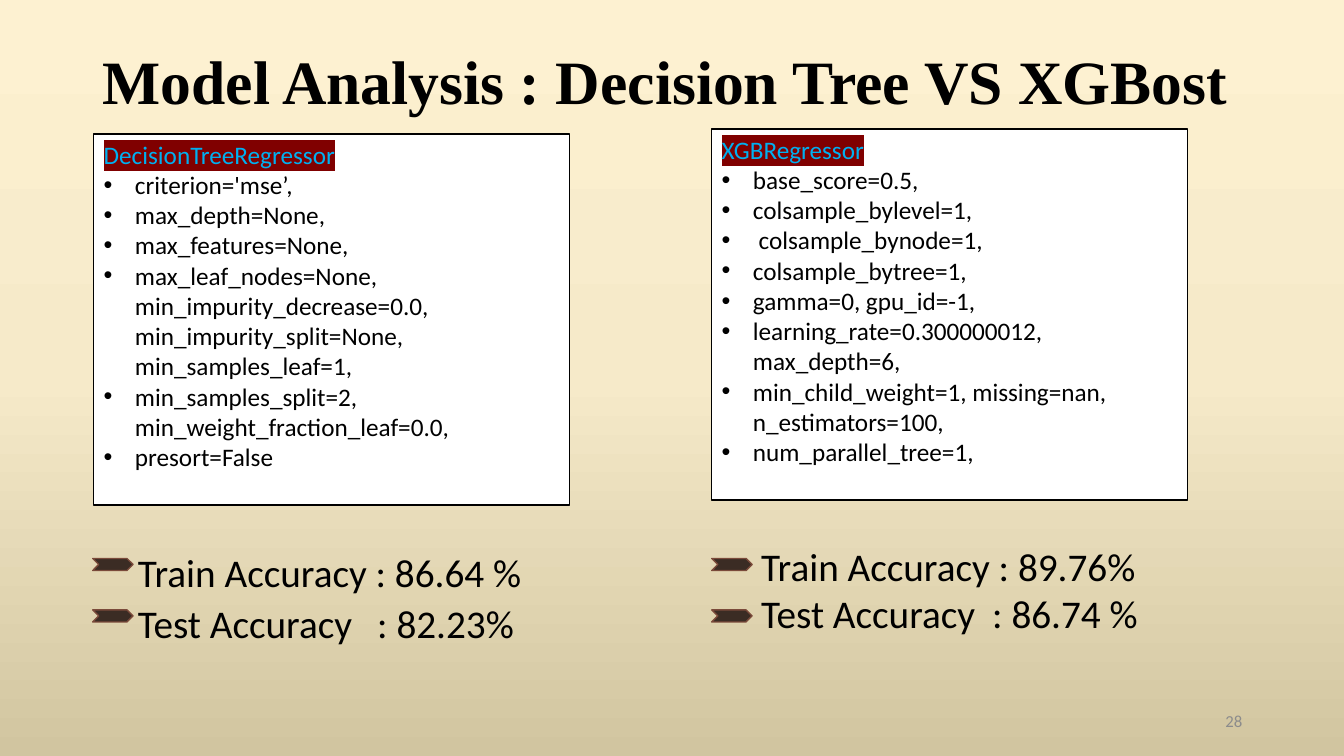
from copy import deepcopy

from lxml.etree import SubElement
from pptx import Presentation
from pptx.dml.color import RGBColor
from pptx.enum.shapes import MSO_SHAPE as Shape
from pptx.enum.text import MSO_ANCHOR as Anchor, PP_ALIGN as Align
from pptx.oxml.ns import qn
from pptx.util import Emu, Inches, Pt

BLACK = RGBColor(0x00, 0x00, 0x00)
WHITE = RGBColor(0xFF, 0xFF, 0xFF)
GREY = RGBColor(0x8C, 0x8C, 0x8C)
BLUE = RGBColor(0x00, 0xB0, 0xF0)
MAROON = RGBColor(0x80, 0x00, 0x00)
BROWN = RGBColor(0x3B, 0x2C, 0x24)
RUST = RGBColor(0x7A, 0x4A, 0x3A)
SANDS = (RGBColor(0xFD, 0xF1, 0xD1), RGBColor(0xF6, 0xEA, 0xC9),
         RGBColor(0xD1, 0xC5, 0xA0))
WIDE, HIGH = Inches(13.33), Inches(7.5)

TREE = ("criterion='mse’,", "max_depth=None,", "max_features=None,",
        "max_leaf_nodes=None, min_impurity_decrease=0.0, "
        "min_impurity_split=None, min_samples_leaf=1,",
        "min_samples_split=2, min_weight_fraction_leaf=0.0,",
        "presort=False")
BOOST = ("base_score=0.5,", "colsample_bylevel=1,", " colsample_bynode=1,",
         "colsample_bytree=1,", "gamma=0, gpu_id=-1,",
         "learning_rate=0.300000012, max_depth=6,",
         "min_child_weight=1, missing=nan, n_estimators=100,",
         "num_parallel_tree=1,")


def area(x, y, w, h):
    """Turn percentages of the slide into a left, top, width, height tuple."""
    return tuple(Emu(round(part * side / 100))
                 for part, side in zip((x, y, w, h), (WIDE, HIGH) * 2))


def paint(slide):
    """Fill the background with an even vertical gradient."""
    fill = slide.background.fill
    fill.gradient()
    fill.gradient_angle = 270
    stops = next(slide.element.iter(qn("a:gsLst")))
    stops.append(deepcopy(stops[-1]))
    for i, (stop, tone) in enumerate(zip(fill.gradient_stops, SANDS)):
        stop.position = i / 2
        stop.color.rgb = tone


def write(par, text, size, tone=BLACK, face="Calibri", bold=False):
    """Add one styled run to a paragraph and return it."""
    run = par.add_run()
    run.text = text
    font = run.font
    font.size, font.name, font.bold = Pt(size), face, bold
    font.color.rgb = tone
    return run


def mark(run, tone):
    """Put a highlight behind a run."""
    light = SubElement(run.font._element, qn("a:highlight"))
    SubElement(light, qn("a:srgbClr")).set("val", str(tone))
    run.font._element.find(qn("a:solidFill")).addnext(light)


def bullet(par):
    """Give a paragraph a hanging bullet."""
    props = par._p.get_or_add_pPr()
    indent = Inches(0.31)
    props.set("marL", str(indent))
    props.set("indent", str(-indent))
    SubElement(props, qn("a:buFont")).set("typeface", "Arial")
    SubElement(props, qn("a:buChar")).set("char", "•")


def tab(par, stop):
    """Set a tab stop, in percent of the slide's width."""
    stops = SubElement(par._p.get_or_add_pPr(), qn("a:tabLst"))
    item = SubElement(stops, qn("a:tab"))
    item.set("pos", str(area(stop, 0, 0, 0)[0]))
    item.set("algn", "l")


def label(slide, box, anchor=Anchor.TOP):
    """Add a wrapping text box and return its text frame."""
    frame = slide.shapes.add_textbox(*box).text_frame
    frame.word_wrap = True
    frame.vertical_anchor = anchor
    return frame


def block(slide, kind, box, fill, edge):
    """Add a flat preset shape with a thin outline."""
    shape = slide.shapes.add_shape(kind, *box)
    shape.shadow.inherit = False
    shape.fill.solid()
    shape.fill.fore_color.rgb = fill
    shape.line.color.rgb = edge
    shape.line.width = Pt(1)
    return shape


def card(slide, x, y, name, items):
    """Add a white card with a marked model name and its settings."""
    box = area(x, y, 35.41, 49.07)
    frame = block(slide, Shape.RECTANGLE, box, WHITE, BLACK).text_frame
    frame.word_wrap = True
    frame.vertical_anchor = Anchor.TOP
    head = frame.paragraphs[0]
    head.alignment = Align.LEFT
    mark(write(head, name, 18, BLUE), MAROON)
    for item in items:
        par = frame.add_paragraph()
        par.alignment = Align.LEFT
        bullet(par)
        write(par, item, 18)


def score(slide, x, text_x, y, train, test, gap, stop):
    """Add the two accuracy lines and their chevrons."""
    for row in range(2):
        box = area(x, 73.87 + 6.8 * row, 3, 1.6)
        block(slide, Shape.CHEVRON, box, BROWN, RUST)
    frame = label(slide, area(text_x, y, 30.9, 13.87))
    write(frame.paragraphs[0], f"Train Accuracy : {train}", 28)
    last = frame.add_paragraph()
    last.space_before = Pt(gap)
    tab(last, stop)
    write(last, f"Test Accuracy\t: {test}", 28)


def main():
    """Build the slide and save it."""
    deck = Presentation()
    deck.slide_width, deck.slide_height = WIDE, HIGH
    slide = deck.slides.add_slide(deck.slide_layouts[6])
    paint(slide)

    title = label(slide, area(6.9, 5.33, 86.27, 11.73), Anchor.MIDDLE)
    par = title.paragraphs[0]
    par.line_spacing = 0.9
    write(par, "Model Analysis : Decision Tree VS XGBost", 44,
          face="Times New Roman", bold=True)

    card(slide, 6.98, 17.73, "DecisionTreeRegressor", TREE)
    card(slide, 52.96, 17.07, "XGBRegressor", BOOST)
    score(slide, 6.9, 9.53, 71.87, "86.64 %", "82.23%", 3, 17.8)
    score(slide, 52.96, 55.89, 71.07, "89.76%", "86.74 %", 0, 17.2)

    page = label(slide, area(70.67, 92.67, 22.5, 5.33), Anchor.MIDDLE)
    page.paragraphs[0].alignment = Align.RIGHT
    write(page.paragraphs[0], "28", 12, GREY)
    deck.save("out.pptx")


if __name__ == "__main__":
    main()
